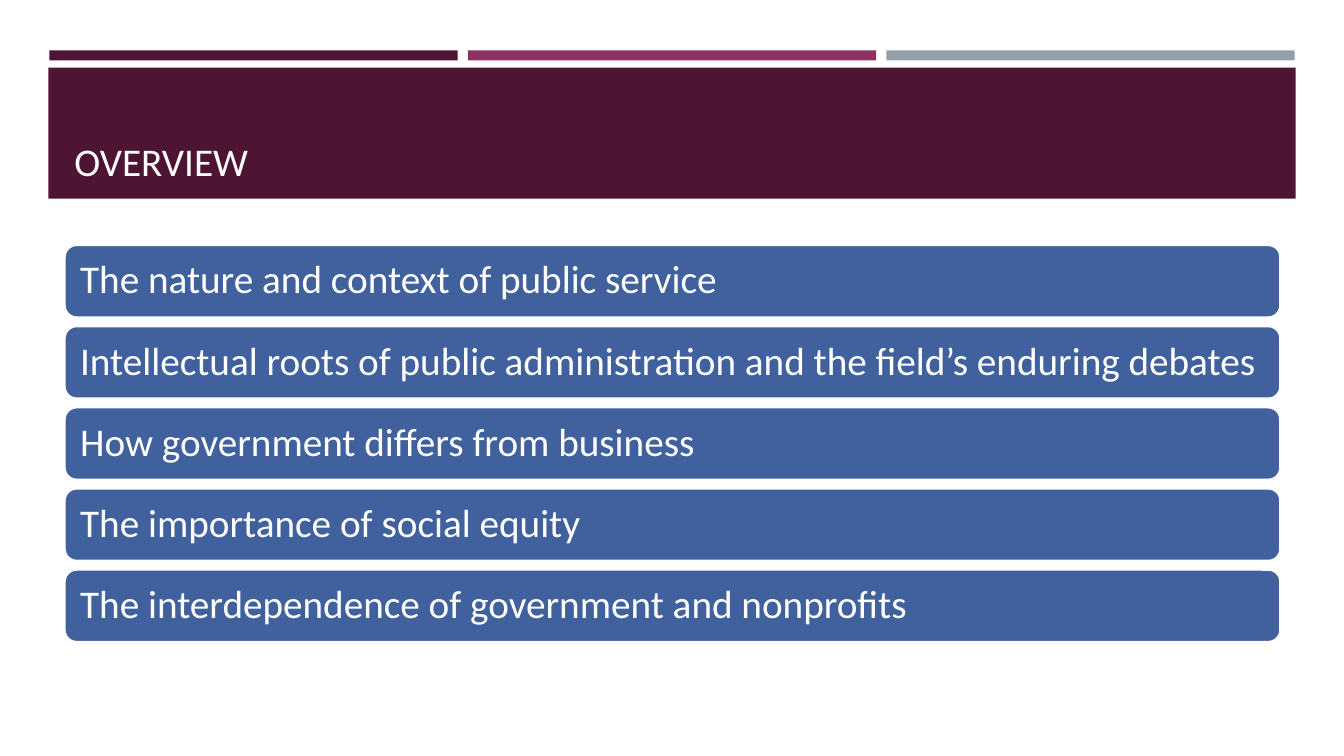
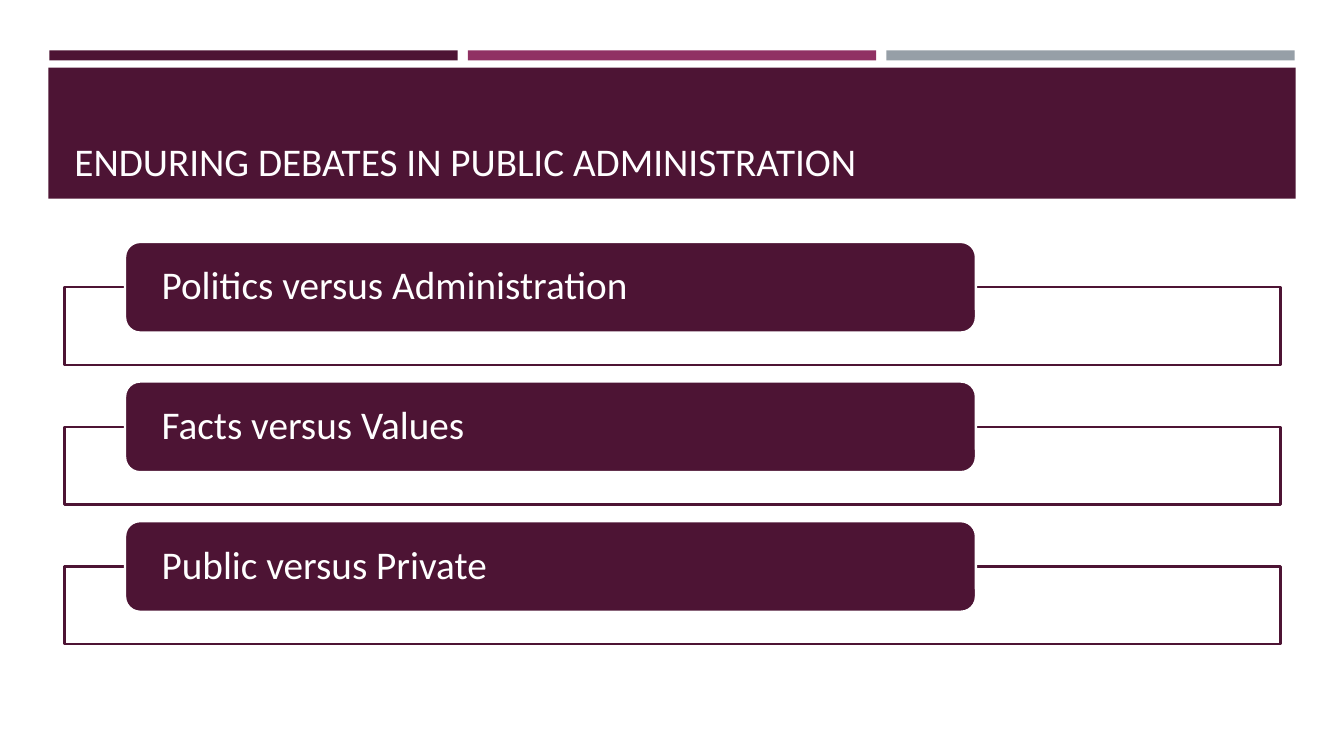
from pptx import Presentation
from pptx.dml.color import RGBColor
from pptx.enum.shapes import MSO_SHAPE
from pptx.enum.text import MSO_ANCHOR, PP_ALIGN
from pptx.util import Inches, Pt

FONT = "Calibri"
PLUM, MAGENTA, GREY = "4D1434", "903163", "969FA7"
BLUE, WHITE, TITLE_WHITE = "40619D", "FFFFFF", "FFFEFF"
LEFT, WIDTH = 0.64, 12.06

TOPICS = [
    "The nature and context of public service",
    "Intellectual roots of public administration and the field’s enduring debates",
    "How government differs from business",
    "The importance of social equity",
    "The interdependence of government and nonprofits",
]
DEBATES = ["Politics versus Administration", "Facts versus Values", "Public versus Private"]


def color(value):
    """Turn a hex string into a colour."""
    return RGBColor.from_string(value)


def spread(first, last, items):
    """Pair each item with its top, evenly spaced from first to last."""
    step = (last - first) / (len(items) - 1)
    return [(first + index * step, item) for index, item in enumerate(items)]


def add_box(slide, kind, left, top, width, height, fill, line=None):
    """Add a filled preset shape, outlined only when a line colour is given."""
    box = slide.shapes.add_shape(kind, Inches(left), Inches(top), Inches(width), Inches(height))
    box.shadow.inherit = False
    box.fill.solid()
    box.fill.fore_color.rgb = color(fill)
    if line:
        box.line.color.rgb = color(line)
        box.line.width = Pt(1.75)
    else:
        box.line.fill.background()
    return box


def write(box, text, size=28, ink=WHITE, anchor=MSO_ANCHOR.MIDDLE, side=0.1, edge=0.0, spacing=0.9):
    """Write one left-aligned paragraph into a box."""
    frame = box.text_frame
    frame.word_wrap = True
    frame.vertical_anchor = anchor
    frame.margin_left = frame.margin_right = Inches(side)
    frame.margin_top = frame.margin_bottom = Inches(edge)
    paragraph = frame.paragraphs[0]
    paragraph.alignment = PP_ALIGN.LEFT
    paragraph.line_spacing = spacing
    run = paragraph.add_run()
    run.text = text
    run.font.name = FONT
    run.font.size = Pt(size)
    run.font.color.rgb = color(ink)


def add_titled_slide(deck, title):
    """Add a slide with the three accent bars and the title band."""
    slide = deck.slides.add_slide(deck.slide_layouts[6])
    for index, accent in enumerate([PLUM, MAGENTA, GREY]):
        add_box(slide, MSO_SHAPE.RECTANGLE, 0.49 + index * 4.15, 0.5, 4.05, 0.1, accent)
    add_box(slide, MSO_SHAPE.RECTANGLE, 0.48, 0.67, 12.37, 1.3, PLUM)
    heading = slide.shapes.add_textbox(Inches(LEFT), Inches(0.77), Inches(WIDTH), Inches(1.11))
    write(heading, title, ink=TITLE_WHITE, anchor=MSO_ANCHOR.BOTTOM, edge=0.05)
    return slide


def add_topics(slide, topics):
    """Stack the topics as full-width rounded bars."""
    for top, topic in spread(2.43, 5.65, topics):
        bar = add_box(slide, MSO_SHAPE.ROUNDED_RECTANGLE, LEFT, top, WIDTH, 0.72, BLUE, WHITE)
        write(bar, topic, side=0.12)


def add_debates(slide, debates):
    """Stack the debates as labels that overlap outlined frames."""
    for top, debate in spread(2.4, 5.17, debates):
        add_box(slide, MSO_SHAPE.RECTANGLE, LEFT, top + 0.45, WIDTH, 0.77, WHITE, PLUM)
        label = add_box(slide, MSO_SHAPE.ROUNDED_RECTANGLE, 1.24, top, 8.44, 0.9, PLUM, WHITE)
        write(label, debate, side=0.32)


def main():
    """Build and save the deck."""
    deck = Presentation()
    deck.slide_width, deck.slide_height = Inches(13.33), Inches(7.5)
    add_topics(add_titled_slide(deck, "OVERVIEW"), TOPICS)
    add_debates(add_titled_slide(deck, "ENDURING DEBATES IN PUBLIC ADMINISTRATION"), DEBATES)
    deck.save("out.pptx")


if __name__ == "__main__":
    main()
